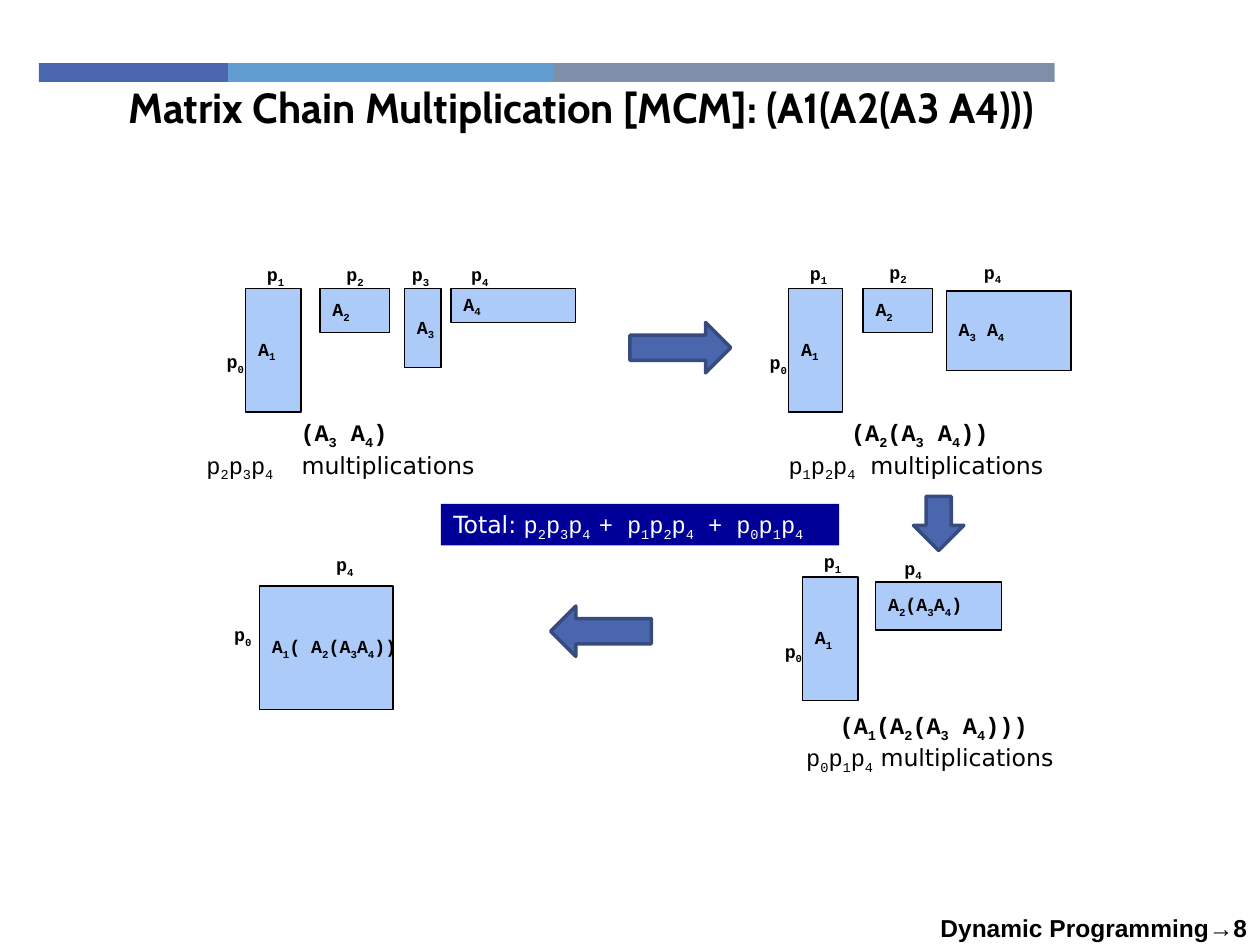
"""Build the matrix chain multiplication slide."""
from pptx import Presentation, util as u
from pptx.dml.color import RGBColor
from pptx.enum import shapes, text

HUE = {"bar": "4A66AC", "sky": "629DD1", "slate": "7F8FA9", "cell": "ACCBF9",
       "edge": "374B7F", "navy": "000099", "ink": "000000", "white": "FFFFFF"}
KIND = shapes.MSO_SHAPE
SIDE = text.PP_ALIGN
MID = {"vertical_anchor": text.MSO_ANCHOR.MIDDLE, "word_wrap": False}
GROW = {"auto_size": text.MSO_AUTO_SIZE.SHAPE_TO_FIT_TEXT, "word_wrap": False}
TAG = {"name": "Courier New", "size": u.Pt(10.5), "bold": True}
HEAD = {"name": "Courier New", "size": u.Pt(13.5), "bold": True}
MONO = {**HEAD, "bold": False}
SANS = {**MONO, "name": "DejaVu Sans"}
TITLE = {"name": "Cabin", "size": u.Pt(24), "bold": True}
FOOT = {"name": "Arial", "size": u.Pt(14), "bold": True}


def draw(host, at, kind=None, fill=None, line=None, width=0.75):
    place = [u.Inches(n) for n in at]
    if kind is None:
        return host.add_textbox(*place)
    item = host.add_shape(kind, *place)
    item.shadow.inherit = False
    item.fill.solid()
    item.fill.fore_color.rgb = RGBColor.from_string(HUE[fill])
    if line:
        item.line.color.rgb = RGBColor.from_string(HUE[line])
        item.line.width = u.Pt(width)
    else:
        item.line.fill.background()
    return item


def write(item, rows, form, hue="ink"):
    """Fill a frame; text between underscores is subscript."""
    frame = item.text_frame
    for key, val in form.items():
        setattr(frame, key, val)
    for spot, (side, parts) in enumerate(rows):
        par = frame.add_paragraph() if spot else frame.paragraphs[0]
        par.alignment = side
        for words, style in parts:
            for turn, piece in enumerate(words.split("_")):
                if not piece:
                    continue
                run = par.add_run()
                run.text = piece
                for key, val in style.items():
                    setattr(run.font, key, val)
                run.font.color.rgb = RGBColor.from_string(HUE[hue])
                if turn % 2:
                    run.font._element.set("baseline", "-25000")


deck = Presentation()
deck.slide_width, deck.slide_height = u.Inches(10), u.Inches(7.5)
slide = deck.slides.add_slide(deck.slide_layouts[6])
page = slide.shapes

band = page.add_group_shape().shapes
left = 0.31
for wide, fill in ((1.5, "bar"), (2.58, "sky"), (3.98, "slate")):
    draw(band, (left, 0.5, wide, 0.15), KIND.RECTANGLE, fill)
    left += wide

stages = [
    ([("A_1_", 1.95, 2.29, 0.44, 0.98), ("A_2_", 2.54, 2.29, 0.55, 0.35),
      ("A_3_", 3.21, 2.29, 0.29, 0.63), ("A_4_", 3.58, 2.29, 0.99, 0.27)],
     [(0, 1.7, 2.73), (1, 2.02, 2.04), (2, 2.65, 2.04), (3, 3.17, 2.04),
      (4, 3.64, 2.04)]),
    ([("A_1_", 6.26, 2.29, 0.43, 0.98), ("A_2_", 6.85, 2.29, 0.55, 0.35),
      ("A_3_ A_4_", 7.51, 2.31, 0.99, 0.63)],
     [(0, 6.01, 2.74), (1, 6.33, 2.03), (2, 6.96, 2.02), (4, 7.71, 2.02)]),
    ([("A_1_", 6.37, 4.58, 0.44, 0.98),
      ("A_2_(A_3_A_4_)", 6.95, 4.62, 1, 0.38)],
     [(0, 6.13, 5.03), (1, 6.44, 4.32), (4, 7.08, 4.37)]),
    ([("A_1_( A_2_(A_3_A_4_))", 2.06, 4.65, 1.06, 0.98)],
     [(0, 1.76, 4.9), (4, 2.57, 4.34)]),
]
for cells, sizes in stages:
    group = page.add_group_shape().shapes
    for name, *at in cells:
        cell = draw(group, at, KIND.RECTANGLE, "cell", "ink")
        write(cell, [(SIDE.LEFT, [(name, TAG)])], MID)
    for num, x, y in sizes:
        mark = draw(group, (x, y, 0.35, 0.28))
        write(mark, [(SIDE.LEFT, [(f"p_{num}_", TAG)])], GROW)

costs = [
    (1.54, 3.27, 2.38, "(A_3_ A_4_)", "p_2_p_3_p_4_  ", "multiplications"),
    (6.16, 3.27, 2.28, "(A_2_(A_3_ A_4_))", "p_1_p_2_p_4_",
     "  multiplications"),
    (6.3, 5.59, 2.22, "(A_1_(A_2_(A_3_ A_4_)))", "p_0_p_1_p_4_",
     " multiplications"),
]
for x, y, wide, chain, cost, unit in costs:
    rows = [(SIDE.CENTER, [(chain, HEAD)]),
            (SIDE.LEFT, [(cost, MONO), (unit, SANS)])]
    write(draw(page, (x, y, wide, 0.56)), rows, GROW)

total = draw(page, (3.5, 4, 3.16, 0.33), KIND.RECTANGLE, "navy")
parts = [("Total: ", SANS),
         ("p_2_p_3_p_4 _+ p_1_p_2_p_4_ + p_0_p_1_p_4_", MONO)]
top = {**GROW, "vertical_anchor": text.MSO_ANCHOR.TOP}
write(total, [(SIDE.LEFT, parts)], top, "white")

title = "Matrix Chain Multiplication [MCM]: (A1(A2(A3 A4))) "
write(draw(page, (0.06, 0.59, 9.18, 0.52)),
      [(SIDE.CENTER, [(title, TITLE)])], {**MID, "word_wrap": True})
write(draw(page, (6.34, 7.2, 3.66, 0.52)),
      [(SIDE.RIGHT, [("Dynamic Programming→8", FOOT)])], {"word_wrap": True})

for kind, *at in ((KIND.RIGHT_ARROW, 5, 2.56, 0.8, 0.4),
                  (KIND.DOWN_ARROW, 7.25, 3.94, 0.4, 0.43),
                  (KIND.LEFT_ARROW, 4.37, 4.81, 0.8, 0.4)):
    draw(page, at, kind, "bar", "edge", 2)

deck.save("out.pptx")
